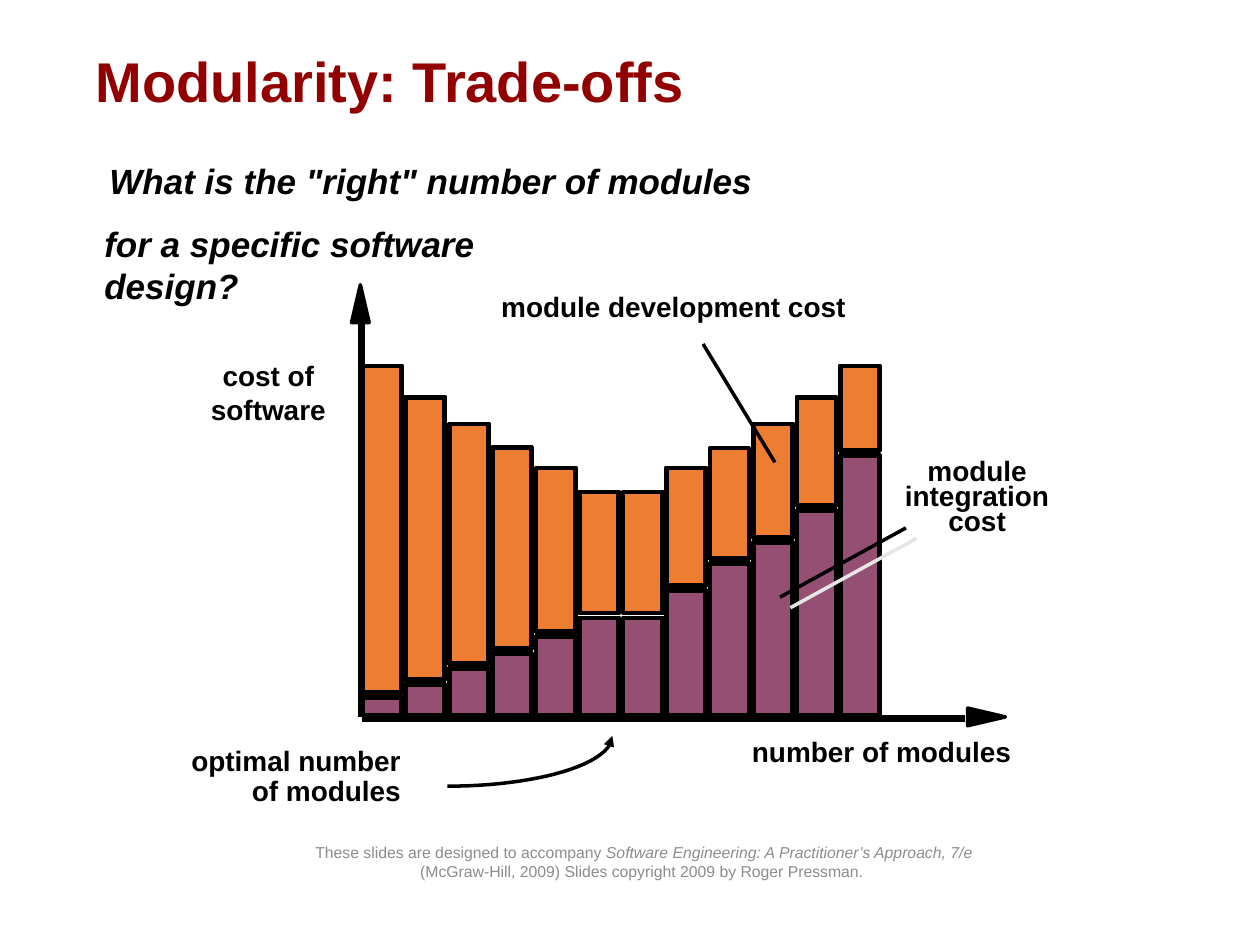
import math
import pptx
import pptx.util
import pptx.oxml
import pptx.dml.color
import pptx.enum.shapes
import pptx.enum.text
from pptx.util import Inches

RGB = pptx.dml.color.RGBColor
BLACK = RGB(0x00, 0x00, 0x00)
MAROON = RGB(0x92, 0x00, 0x00)
GRAY = RGB(0x8C, 0x8C, 0x8C)
ORANGE = RGB(0xED, 0x7D, 0x31)
PURPLE = RGB(0x95, 0x4F, 0x72)
NS = 'xmlns:a="http://schemas.openxmlformats.org/drawingml/2006/main"'
SHADOW = ('<a:outerShdw dist="107950" dir="2700000" algn="ctr" rotWithShape="0">'
          '<a:srgbClr val="E7E6E6"/></a:outerShdw>')
LEFT, CENTER, RIGHT = (pptx.enum.text.PP_ALIGN.LEFT, pptx.enum.text.PP_ALIGN.CENTER,
                       pptx.enum.text.PP_ALIGN.RIGHT)
RECT = pptx.enum.shapes.MSO_SHAPE.RECTANGLE
STRAIGHT = pptx.enum.shapes.MSO_CONNECTOR.STRAIGHT


def style(sp, fill=None):
    sp.shadow.inherit = False
    if fill is None:
        sp.fill.background()
    else:
        sp.fill.solid()
        sp.fill.fore_color.rgb = fill
    sp.line.color.rgb = BLACK
    sp.line.width = pptx.util.Pt(2)


def write(p, text, size, color, **extra):
    r = p.add_run()
    r.text = text
    fmt = {"name": "Arial", "size": pptx.util.Pt(size), **extra}
    for key, value in fmt.items():
        setattr(r.font, key, value)
    r.font.color.rgb = color


prs = pptx.Presentation()
prs.slide_width, prs.slide_height = Inches(10), Inches(7.5)
s = prs.slides.add_slide(prs.slide_layouts[5])

title = s.shapes.title
title.left, title.top, title.width, title.height = map(Inches, (0.69, 0.4, 8.62, 1.45))
tf = title.text_frame
frame = {"margin_left": Inches(0.07), "margin_right": Inches(0.07),
         "margin_top": Inches(0.03), "margin_bottom": Inches(0.03),
         "vertical_anchor": pptx.enum.text.MSO_ANCHOR.TOP, "word_wrap": True}
for key, value in frame.items():
    setattr(tf, key, value)
p = tf.paragraphs[0]
p.alignment, p.line_spacing = LEFT, 0.9
write(p, "Modularity: Trade-offs", 32, MAROON, bold=True)

tf = s.shapes.add_textbox(Inches(2.38), Inches(6.64), Inches(5.46), Inches(0.4)).text_frame
tf.word_wrap = True
tf.vertical_anchor = pptx.enum.text.MSO_ANCHOR.MIDDLE
p = tf.paragraphs[0]
p.alignment = CENTER
write(p, "These slides are designed to accompany ", 9, GRAY)
write(p, "Software Engineering: A Practitioner’s Approach, 7/e ", 9, GRAY, italic=True)
write(p, "(McGraw-Hill, 2009) Slides copyright 2009 by Roger Pressman. ", 9, GRAY)

totals = [2.91, 3.16, 3.37, 3.56, 3.72, 3.91]
tops = totals + totals[::-1]
splits = [5.54, 5.44, 5.31, 5.19, 5.06, 4.91, 4.91, 4.69, 4.48, 4.31, 4.06, 3.62]
base, gap, pitch, bar_width, edge = 5.67, 0.05, 0.345, 0.3, 0.01
for i, (top, split) in enumerate(zip(tops, splits)):
    x = 2.88 + i * pitch
    for y, bottom, color in ((split, base, PURPLE), (top, split - gap, ORANGE)):
        for grow, fill in ((0, color), (edge, None)):
            sp = s.shapes.add_shape(RECT, Inches(x - grow), Inches(y - grow),
                                    Inches(bar_width + 2 * grow),
                                    Inches(bottom - y + 2 * grow))
            style(sp, fill)

labels = [
    (0.77, 1.22, 5.6, 0.43, ['What is the "right" number of modules'], 20, True, LEFT, 1.0),
    (0.73, 1.72, 4.0, 0.75, ["for a specific software design?"], 20, True, LEFT, 1.0),
    (1.42, 5.88, 1.86, 0.58, ["optimal number", "of modules"], 16, False, RIGHT, 0.9),
    (1.48, 2.8, 1.3, 0.63, ["cost of", "software"], 16, False, CENTER, 1.0),
    (5.87, 5.78, 2.4, 0.36, ["number of modules"], 16, False, LEFT, 1.0),
    (7.08, 3.61, 1.35, 0.7, ["module", "integration", "cost"], 16, False, CENTER, 0.75),
    (3.88, 2.25, 3.0, 0.36, ["module development cost"], 16, False, LEFT, 1.0),
]
for x, y, w, h, lines, size, italic, align, spacing in labels:
    tf = s.shapes.add_textbox(Inches(x), Inches(y), Inches(w), Inches(h)).text_frame
    tf.word_wrap = True
    for i, line in enumerate(lines):
        p = tf.paragraphs[0] if i == 0 else tf.add_paragraph()
        p.alignment, p.line_spacing = align, spacing
        write(p, line, size, BLACK, bold=True, italic=italic)

connectors = [
    (2.87, 5.7, 7.66, 5.7, 4, ""),
    (2.87, 5.69, 2.87, 2.55, 4, ""),
    (5.58, 2.73, 6.15, 3.67, 2, ""),
    (7.19, 4.19, 6.19, 4.74, 2, SHADOW),
]
for x1, y1, x2, y2, width, effect in connectors:
    cn = s.shapes.add_connector(STRAIGHT, Inches(x1), Inches(y1), Inches(x2), Inches(y2))
    cn.line.color.rgb = BLACK
    cn.line.width = pptx.util.Pt(width)
    cn._element.spPr.append(
        pptx.oxml.parse_xml(f"<a:effectLst {NS}>{effect}</a:effectLst>"))

axis_tips = [
    [(7.98, 5.69), (7.68, 5.76), (7.68, 5.62)],
    [(2.86, 2.26), (2.93, 2.56), (2.79, 2.56)],
]
for tip in axis_tips:
    points = [(Inches(x), Inches(y)) for x, y in tip]
    fb = s.shapes.build_freeform(*points[0])
    fb.add_line_segments(points[1:], close=True)
    style(fb.convert_to_shape(), BLACK)

steps = 24
angles = [math.pi / 2 * i / steps for i in range(steps + 1)]
curve = [(Inches(3.55 + 1.31 * math.cos(a)), Inches(5.84 + 0.4 * math.sin(a)))
         for a in angles]
fb = s.shapes.build_freeform(*curve[0])
fb.add_line_segments(curve[1:], close=False)
sp = fb.convert_to_shape()
style(sp)
sp.line._get_or_add_ln().append(pptx.oxml.parse_xml(f'<a:headEnd {NS} type="triangle"/>'))

prs.save("out.pptx")
